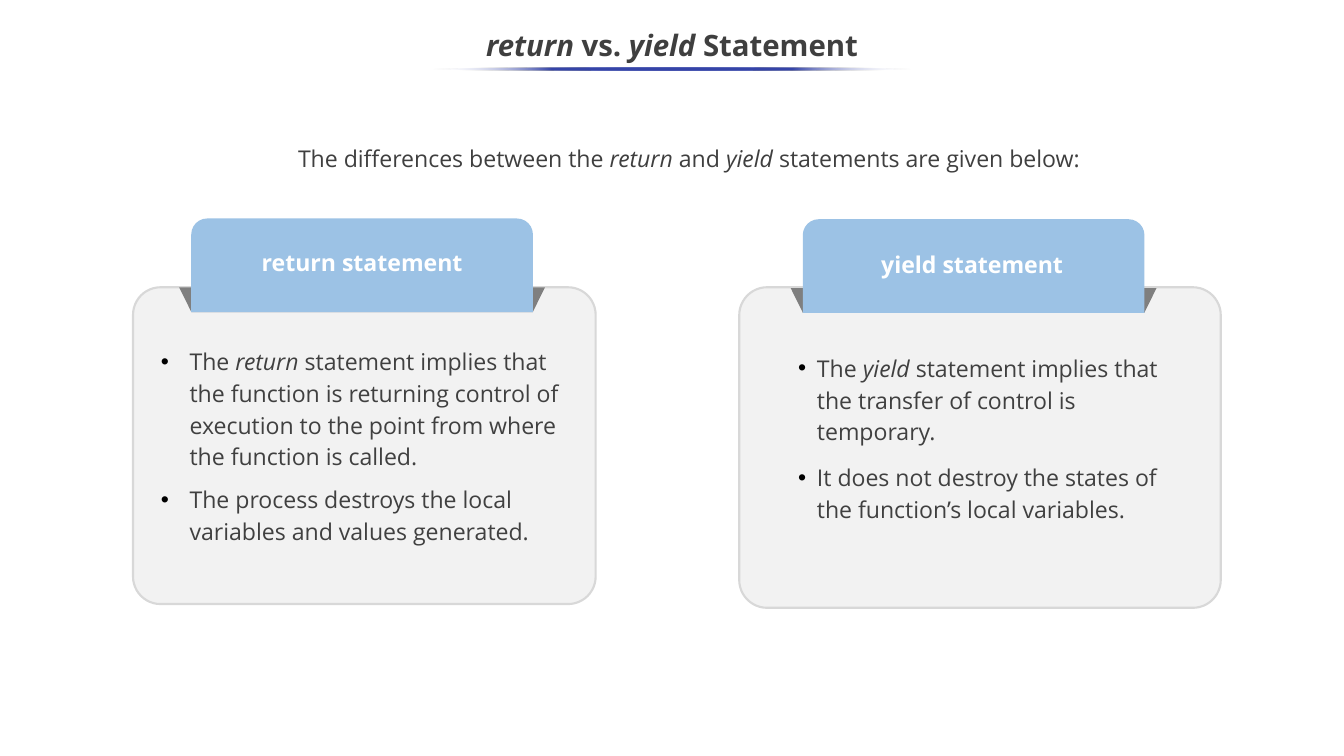
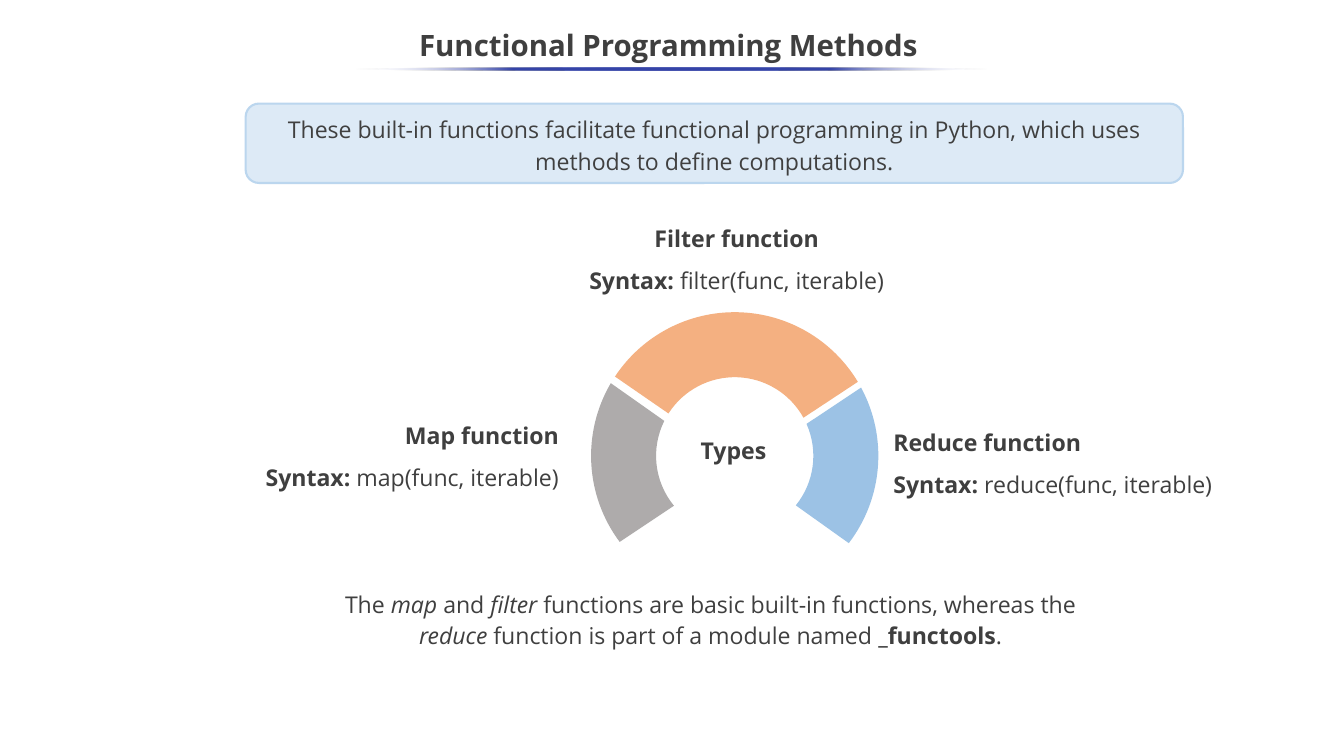
import math

from lxml import etree
from pptx import Presentation
from pptx import util as u
from pptx.dml.color import RGBColor
from pptx.enum import shapes, text
from pptx.oxml import parse_xml
from pptx.oxml.ns import nsdecls, qn

PX = 9144  # 100 px to the inch
FONT = "Open Sans"
INK, BODY_INK, WHITE = "3F3F3F", "404040", "FFFFFF"
BLUE, ORANGE, GREY, ACCENT = "9CC2E5", "F4B081", "AEABAB", "3645A9"
LEFT, CENTER, RIGHT = text.PP_ALIGN.LEFT, text.PP_ALIGN.CENTER, text.PP_ALIGN.RIGHT
KIND = shapes.MSO_SHAPE
color = RGBColor.from_string


def add_shape(slide, kind, box, fill, line=None, adjustments=()):
    shape = slide.shapes.add_shape(kind, *(n * PX for n in box))
    shape.shadow.inherit = False
    for index, value in enumerate(adjustments):
        shape.adjustments[index] = value
    shape.fill.solid()
    shape.fill.fore_color.rgb = color(fill)
    if line:
        shape.line.color.rgb = color(line)
        shape.line.width = u.Pt(2)
    else:
        shape.line.fill.background()
    return shape


def add_text(shape, paragraphs, ink=INK, size=22, align=LEFT, spacing=1.15,
             before=10, anchor=text.MSO_ANCHOR.TOP, bullet_indent=0):
    """Each paragraph is a list of (words, style); style holds b and/or i."""
    frame = shape.text_frame
    frame.word_wrap = True
    frame.vertical_anchor = anchor
    for index, runs in enumerate(paragraphs):
        paragraph = frame.add_paragraph() if index else frame.paragraphs[0]
        paragraph.alignment = align
        paragraph.line_spacing = spacing
        if index:
            paragraph.space_before = u.Pt(before)
        if bullet_indent:
            properties = paragraph._p.get_or_add_pPr()
            properties.set("marL", str(bullet_indent * PX))
            properties.set("indent", str(-bullet_indent * PX))
            bullet_color = etree.SubElement(properties, qn("a:buClr"))
            etree.SubElement(bullet_color, qn("a:srgbClr"), val="000000")
            etree.SubElement(properties, qn("a:buFont"), typeface="Arial")
            etree.SubElement(properties, qn("a:buChar"), char="•")
        for words, style in runs:
            run = paragraph.add_run()
            run.text = words
            run.font.name = FONT
            run.font.size = u.Pt(size)
            run.font.color.rgb = color(ink)
            run.font.bold = "b" in style
            run.font.italic = "i" in style


presentation = Presentation()
presentation.slide_width = 1778 * PX
presentation.slide_height = 1000 * PX

# Shared: title and fading underline
titles = [
    ([("return ", "bi"), ("vs. ", "b"), ("yield ", "bi"), ("Statement", "b")], (572, 634)),
    ([("Functional Programming Methods ", "b")], (469, 839)),
]
stops = "".join(
    f'<a:gs pos="{position}000"><a:srgbClr val="{ACCENT if alpha else WHITE}">'
    f'<a:alpha val="{alpha}000"/></a:srgbClr></a:gs>'
    for position, alpha in [(0, 0), (25, 100), (50, 100), (75, 100), (100, 0)])
slides = []
for title, (rule_left, rule_width) in titles:
    slide = presentation.slides.add_slide(presentation.slide_layouts[6])
    title_box = slide.shapes.add_textbox(-1 * PX, 25 * PX, 1780 * PX, 75 * PX)
    add_text(title_box, [title], size=28, align=CENTER, spacing=0.9,
             anchor=text.MSO_ANCHOR.MIDDLE)
    underline = add_shape(slide, KIND.OVAL, (rule_left, 89, rule_width, 4), ACCENT)
    solid = underline._element.spPr.find(qn("a:solidFill"))
    solid.getparent().replace(solid, parse_xml(
        f'<a:gradFill {nsdecls("a")} rotWithShape="1"><a:gsLst>{stops}</a:gsLst>'
        '<a:lin ang="10800000" scaled="0"/></a:gradFill>'))
    slides.append(slide)
comparison, methods = slides

# Slide 1: introduction
intro = comparison.shapes.add_textbox(330 * PX, 181 * PX, 1163 * PX, 53 * PX)
add_text(intro, [[("The differences between the ", ""), ("return ", "i"), ("and ", ""),
                  ("yield ", "i"), ("statements are given below:", "")]], align=CENTER)

# Slide 1: two cards, each a panel with a folded tab, a label and bullets
cards = [
    ("return statement", (176, 380, 612, 419), (253, 289), (253, 324),
     (203, 449, 568, 334), 38, 10,
     [[("The ", ""), ("return", "i"),
       (" statement implies that the function is returning control of execution "
        "to the point from where the function is called.", "")],
      [("The process destroys the local variables and values generated.", "")]]),
    ("yield statement", (978, 380, 637, 424), (1062, 290), (1060, 326),
     (1046, 458, 506, 241), 25, 13.3,
     [[("The ", ""), ("yield ", "i"),
       ("statement implies that the transfer of control is temporary.", "")],
      [("It does not destroy the states of the function’s local variables.", "")]]),
]
for label, panel, (tab_left, tab_top), label_at, body, indent, before, points in cards:
    add_shape(comparison, KIND.ROUNDED_RECTANGLE, panel, "F2F2F2", "D8D8D8", [0.087])
    fold = add_shape(comparison, KIND.TRAPEZOID, (tab_left - 16, tab_top + 91, 484, 33),
                     "7F7F7F", adjustments=[0.494])
    fold.rotation = 180
    add_shape(comparison, KIND.ROUND_2_SAME_RECTANGLE, (tab_left, tab_top, 452, 124),
              BLUE, adjustments=[0.17, 0])
    label_box = comparison.shapes.add_textbox(*(n * PX for n in (*label_at, 452, 47)))
    add_text(label_box, [[(label, "b")]], WHITE, align=CENTER, spacing=1.0)
    body_box = comparison.shapes.add_textbox(*(n * PX for n in body))
    add_text(body_box, points, BODY_INK, before=before, bullet_indent=indent)

# Slide 2: introduction banner
banner = add_shape(methods, KIND.ROUNDED_RECTANGLE, (325, 137, 1240, 105),
                   "DDEAF6", "BBD6EE", [0.167])
add_text(banner, [[("These built-in functions facilitate functional programming in Python, "
                    "which uses methods to define computations.", "")]],
         BODY_INK, align=CENTER, anchor=text.MSO_ANCHOR.MIDDLE)

# Slide 2: ring segments: degrees on the outer and inner edges, curves per edge
CENTER_X, CENTER_Y, OUTER, INNER = 972, 603, 190, 104
segments = [
    (ORANGE, (146.5, 31), (29, 147.4), 2),
    (GREY, (216.8, 149.6), (153.6, 219.4), 1),
    (BLUE, (28.4, -37.4), (-39, 24), 1),
]
for fill, outer_arc, inner_arc, curves in segments:
    points = []
    for radius, (start, end) in ((OUTER, outer_arc), (INNER, inner_arc)):
        sweep = math.radians(end - start) / curves
        reach = 4 / 3 * math.tan(sweep / 4)
        # Knots lie on the arc; each handle lies along the tangent at its knot
        for knot in range(curves + 1):
            angle = math.radians(start) + knot * sweep
            cosine, sine = math.cos(angle), math.sin(angle)
            for side in (-1, 0, 1):
                if 0 <= knot + side <= curves:
                    across = cosine - side * reach * sine
                    up = sine + side * reach * cosine
                    points.append((round((CENTER_X + radius * across) * PX),
                                   round((CENTER_Y - radius * up) * PX)))
    builder = methods.shapes.build_freeform(*points[0], scale=1.0)
    builder.add_line_segments(points[1:], close=True)
    segment = builder.convert_to_shape()
    # Merge each three points of an edge into one curve
    lines = list(segment._element.iter(qn("a:lnTo")))
    edge = 3 * curves
    for first in (*range(0, edge, 3), *range(edge + 1, 2 * edge + 1, 3)):
        curve = etree.Element(qn("a:cubicBezTo"))
        lines[first].addprevious(curve)
        for line in lines[first:first + 3]:
            curve.append(line[0])
            line.getparent().remove(line)
    segment.shadow.inherit = False
    segment.fill.solid()
    segment.fill.fore_color.rgb = color(fill)
    segment.line.fill.background()

# Slide 2: function captions around the ring
captions = [
    ("Reduce", (1172, 556, 445, 166), LEFT),
    ("Map", (148, 547, 601, 166), RIGHT),
    ("Filter", (687, 286, 575, 166), CENTER),
]
for name, box, align in captions:
    caption = methods.shapes.add_textbox(*(n * PX for n in box))
    add_text(caption, [[(f"{name} function", "b")],
                       [("Syntax: ", "b"), (f"{name.lower()}(func, iterable)", "")]],
             align=align)

# Slide 2: ring title and closing note
ring_title = methods.shapes.add_textbox(917 * PX, 567 * PX, 109 * PX, 50 * PX)
add_text(ring_title, [[("Types", "b")]])
note = methods.shapes.add_textbox(417 * PX, 770 * PX, 1046 * PX, 95 * PX)
add_text(note, [[("The", ""), (" map", "i"), (" and ", ""), ("filter", "i"),
                 (" functions are basic built-in functions, whereas the ", ""),
                 ("reduce ", "i"), ("function is part of a module named ", ""),
                 ("_functools", "b"), (".", "")]], align=CENTER)

presentation.save("out.pptx")
